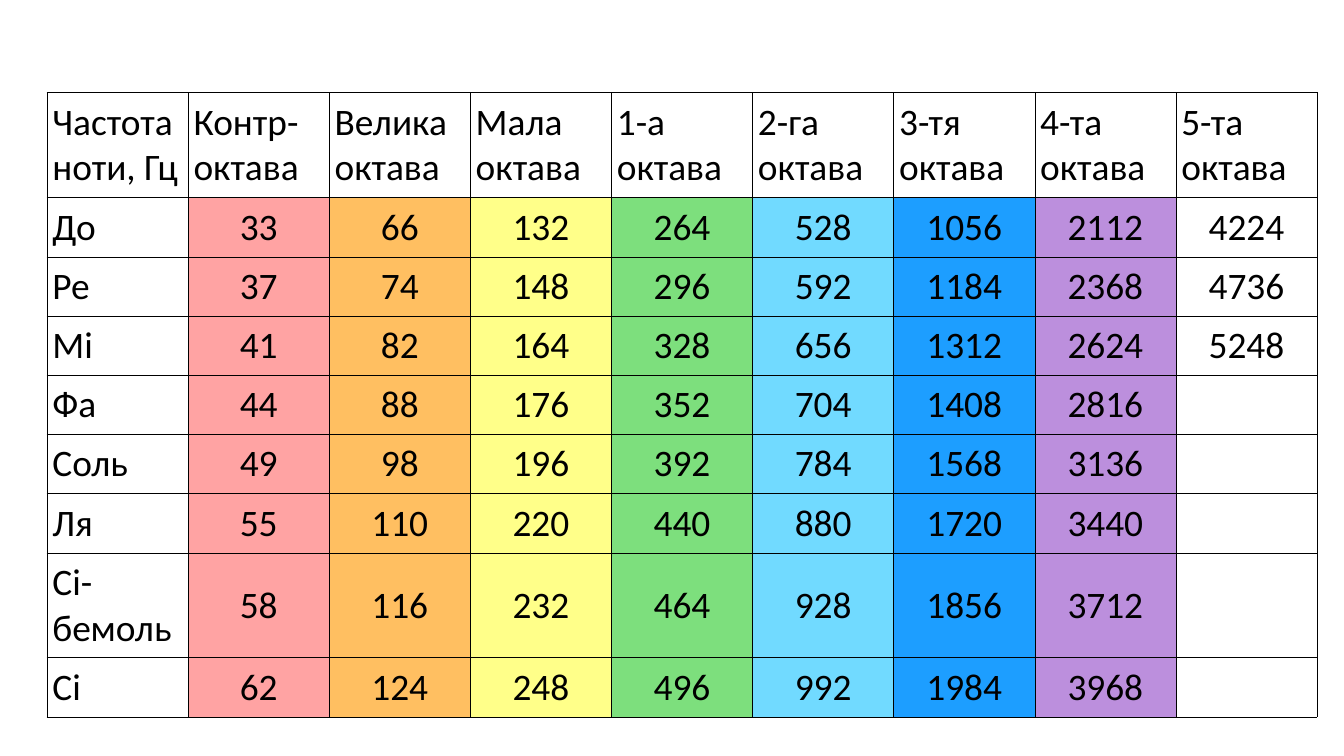
"""Build a slide with a table of note frequencies by octave."""
from lxml import etree
from pptx import Presentation
from pptx.dml.color import RGBColor
from pptx.enum.text import MSO_ANCHOR, PP_ALIGN
from pptx.oxml.ns import qn
from pptx.util import Inches, Pt

LEFT, CENTER, MIDDLE = PP_ALIGN.LEFT, PP_ALIGN.CENTER, MSO_ANCHOR.MIDDLE
COL, ROW, TALL_ROW = 1.05, 0.38, 0.72
COLORS = {
    "text": "000000", "border": "000000", "plain": "FFFFFF",
    "contra": "FFA3A3", "great": "FFBF61", "small": "FFFF89",
    "first": "7DDF7D", "second": "71DAFF", "third": "1D9EFF", "fourth": "BC8FDD",
}
OCTAVES = ["plain", "contra", "great", "small", "first", "second", "third", "fourth", "plain"]
HEADER = ["Частота ноти, Гц", "Контp-октава", "Велика октава", "Мала октава", "1-а октава",
          "2-га октава", "3-тя октава", "4-та октава", "5-та октава"]
NOTES = [
    ["До", 33, 66, 132, 264, 528, 1056, 2112, 4224],
    ["Ре", 37, 74, 148, 296, 592, 1184, 2368, 4736],
    ["Мі", 41, 82, 164, 328, 656, 1312, 2624, 5248],
    ["Фа", 44, 88, 176, 352, 704, 1408, 2816, ""],
    ["Соль", 49, 98, 196, 392, 784, 1568, 3136, ""],
    ["Ля", 55, 110, 220, 440, 880, 1720, 3440, ""],
    ["Сі-бемоль", 58, 116, 232, 464, 928, 1856, 3712, ""],
    ["Сі", 62, 124, 248, 496, 992, 1984, 3968, ""],
]
TALL = ("Частота ноти, Гц", "Сі-бемоль")


def write(cell, text, size=20, font="Calibri", color="text", align=LEFT):
    p = cell.text_frame.paragraphs[0]
    p.alignment = align
    if text:
        r = p.add_run()
        r.text = text
        r.font.size = Pt(size)
        r.font.name = font
        r.font.color.rgb = RGBColor.from_string(COLORS[color])


def add_borders(cell, color="border", width=0.45):
    tcPr = cell._tc.get_or_add_tcPr()
    for side in ("a:lnL", "a:lnR", "a:lnT", "a:lnB"):
        ln = etree.SubElement(tcPr, qn(side), w=str(Pt(width)))
        fill = etree.SubElement(ln, qn("a:solidFill"))
        etree.SubElement(fill, qn("a:srgbClr"), val=COLORS[color])


prs = Presentation()
prs.slide_width = Inches(10)
prs.slide_height = prs.slide_width * 9 // 16
s = prs.slides.add_slide(prs.slide_layouts[6])

rows = [HEADER] + NOTES
heights = [TALL_ROW if row[0] in TALL else ROW for row in rows]
frame = s.shapes.add_table(len(rows), len(HEADER), Inches(COL / 3), Inches(0.69),
                           Inches(COL * len(HEADER)), Inches(sum(heights)))
table = frame.table
table.first_row = table.horz_banding = False

for column in table.columns:
    column.width = Inches(COL)

for i, row in enumerate(rows):
    table.rows[i].height = Inches(heights[i])
    for j, value in enumerate(row):
        cell = table.cell(i, j)
        cell.vertical_anchor = MIDDLE
        cell.margin_left = cell.margin_right = Inches(0.04)
        cell.margin_top = cell.margin_bottom = Inches(0.05)
        add_borders(cell)
        cell.fill.solid()
        cell.fill.fore_color.rgb = RGBColor.from_string(COLORS[OCTAVES[j] if i else "plain"])
        write(cell, str(value), align=CENTER if i and j else LEFT)

prs.save("out.pptx")
